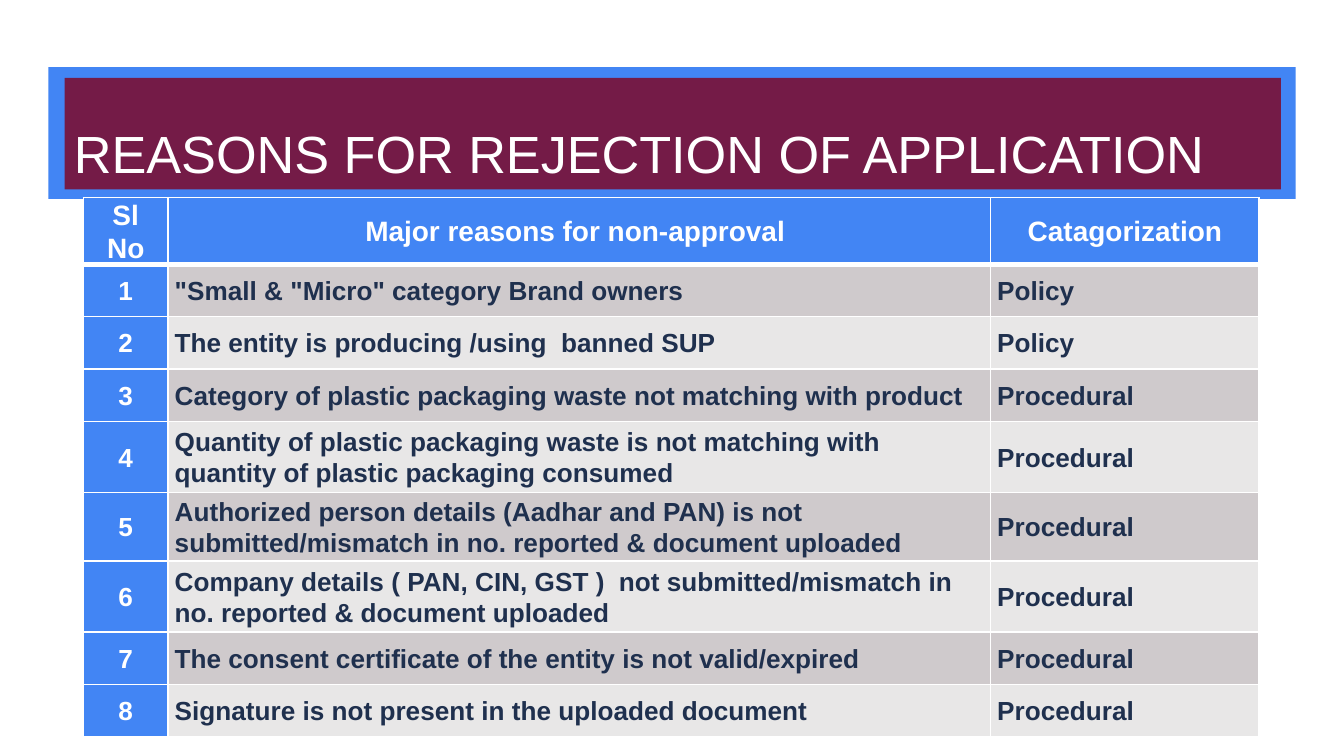
from dataclasses import dataclass

from lxml import etree
from pptx import Presentation
from pptx.dml.color import RGBColor
from pptx.enum import shapes, text
from pptx.oxml import ns
from pptx.util import Inches, Pt


@dataclass(frozen=True)
class Theme:
    font: str = "Arial"
    blue: str = "4285F4"
    plum: str = "741B47"
    white: str = "FFFFFF"
    navy: str = "1F304E"
    bands: tuple = ("CFCACC", "E8E7E7")
    title: int = 28
    head: int = 15
    body: int = 14


THEME = Theme()
WIDTH = Inches(10)
HEIGHT = WIDTH * 9 // 16
COLS = (63, 612, 200)  # relative widths
ROWS = (39, 39, 39, 39, 53, 51, 53, 39, 39)  # relative heights
HEAD = ("Sl No", "Major reasons for non-approval ", "Catagorization")
REASONS = (
    ('"Small & "Micro" category Brand owners', "Policy"),
    ("The entity is producing /using  banned SUP", "Policy"),
    ("Category of plastic packaging waste not matching with product", "Procedural"),
    ("Quantity of plastic packaging waste is not matching with "
     "quantity of plastic packaging consumed", "Procedural"),
    ("Authorized person details (Aadhar and PAN) is not "
     "submitted/mismatch in no. reported & document uploaded", "Procedural"),
    ("Company details ( PAN, CIN, GST )  not submitted/mismatch in "
     "no. reported & document uploaded", "Procedural"),
    ("The consent certificate of the entity is not valid/expired", "Procedural"),
    ("Signature is not present in the uploaded document", "Procedural"),
)


def assign(item, values):
    for name, value in values.items():
        setattr(item, name, value)


def paint(item, color):
    item.fill.solid()
    item.fill.fore_color.rgb = RGBColor.from_string(color)


def style(para, size, color, bold, align):
    para.alignment = align
    assign(para.font, {"name": THEME.font, "size": Pt(size), "bold": bold})
    para.font.color.rgb = RGBColor.from_string(color)


def rule(cell, top, bottom):
    """Draw white cell borders, ahead of the fill in the cell's properties."""
    props = cell._tc.get_or_add_tcPr()
    for spot, (side, width) in enumerate(zip("LRTB", (1, 1, top, bottom))):
        line = etree.Element(ns.qn(f"a:ln{side}"), w=str(Pt(width)))
        fill = etree.SubElement(line, ns.qn("a:solidFill"))
        etree.SubElement(fill, ns.qn("a:srgbClr"), val=THEME.white)
        props.insert(spot, line)


def banner(slide, box):
    # Blue band behind the title
    left, top, width, height = box
    band = slide.shapes.add_shape(shapes.MSO_SHAPE.RECTANGLE, *map(Inches, box))
    paint(band, THEME.blue)
    band.line.fill.background()
    band.shadow.inherit = False

    # Title, inset within the band
    title = slide.shapes.title
    band._element.addnext(title._element)
    padx, pady = 0.12, 0.08
    assign(title, {"left": Inches(left + padx), "top": Inches(top + pady),
                   "width": Inches(width - 2 * padx + 0.01),
                   "height": Inches(height - 2 * pady + 0.01)})
    paint(title, THEME.plum)
    frame = title.text_frame
    frame.text = "REASONS FOR REJECTION OF APPLICATION"
    assign(frame, {"margin_left": Inches(0.07), "margin_right": Inches(0.07),
                   "margin_top": Inches(0.04), "margin_bottom": Inches(0.04),
                   "vertical_anchor": text.MSO_ANCHOR.BOTTOM, "word_wrap": True,
                   "auto_size": text.MSO_AUTO_SIZE.NONE})
    style(frame.paragraphs[0], THEME.title, THEME.white, False, text.PP_ALIGN.LEFT)


def reasons(slide, box):
    width, height = box[2:]
    data = [HEAD] + [(str(num), *row) for num, row in enumerate(REASONS, 1)]
    table = slide.shapes.add_table(len(ROWS), len(COLS), *map(Inches, box)).table
    for col, share in zip(table.columns, COLS):
        col.width = Inches(width * share / sum(COLS))
    for row, share in zip(table.rows, ROWS):
        row.height = Inches(height * share / sum(ROWS))

    # Blue header row and number column, banded body
    for r, row in enumerate(data):
        for c, words in enumerate(row):
            cell = table.cell(r, c)
            key = r == 0 or c == 0
            cell.text = words
            assign(cell, {"margin_left": Inches(0.05), "margin_right": Inches(0.05),
                          "margin_top": 0, "margin_bottom": 0,
                          "vertical_anchor": text.MSO_ANCHOR.MIDDLE})
            paint(cell, THEME.blue if key else THEME.bands[(r - 1) % 2])
            rule(cell, 3 if r == 1 else 1, 3 if r == 0 else 1)
            para = cell.text_frame.paragraphs[0]
            para.line_spacing = 1.07
            style(para, THEME.body if r else THEME.head,
                  THEME.white if key else THEME.navy, True,
                  text.PP_ALIGN.CENTER if key else text.PP_ALIGN.LEFT)


def main():
    deck = Presentation()
    deck.slide_width, deck.slide_height = WIDTH, HEIGHT
    slide = deck.slides.add_slide(deck.slide_layouts[5])
    banner(slide, (0.36, 0.5, 9.28, 0.98))
    reasons(slide, (0.62, 1.47, 8.75, 3.91))
    deck.save("out.pptx")


if __name__ == "__main__":
    main()
